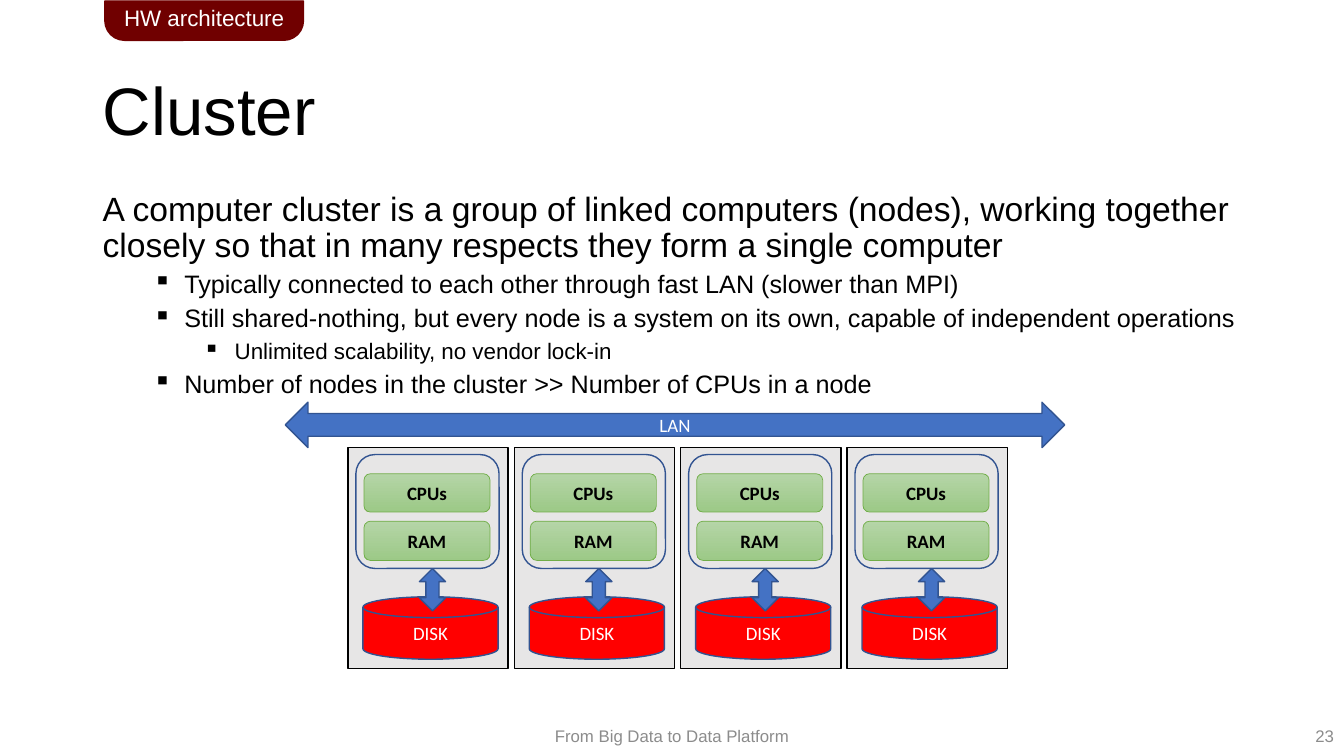
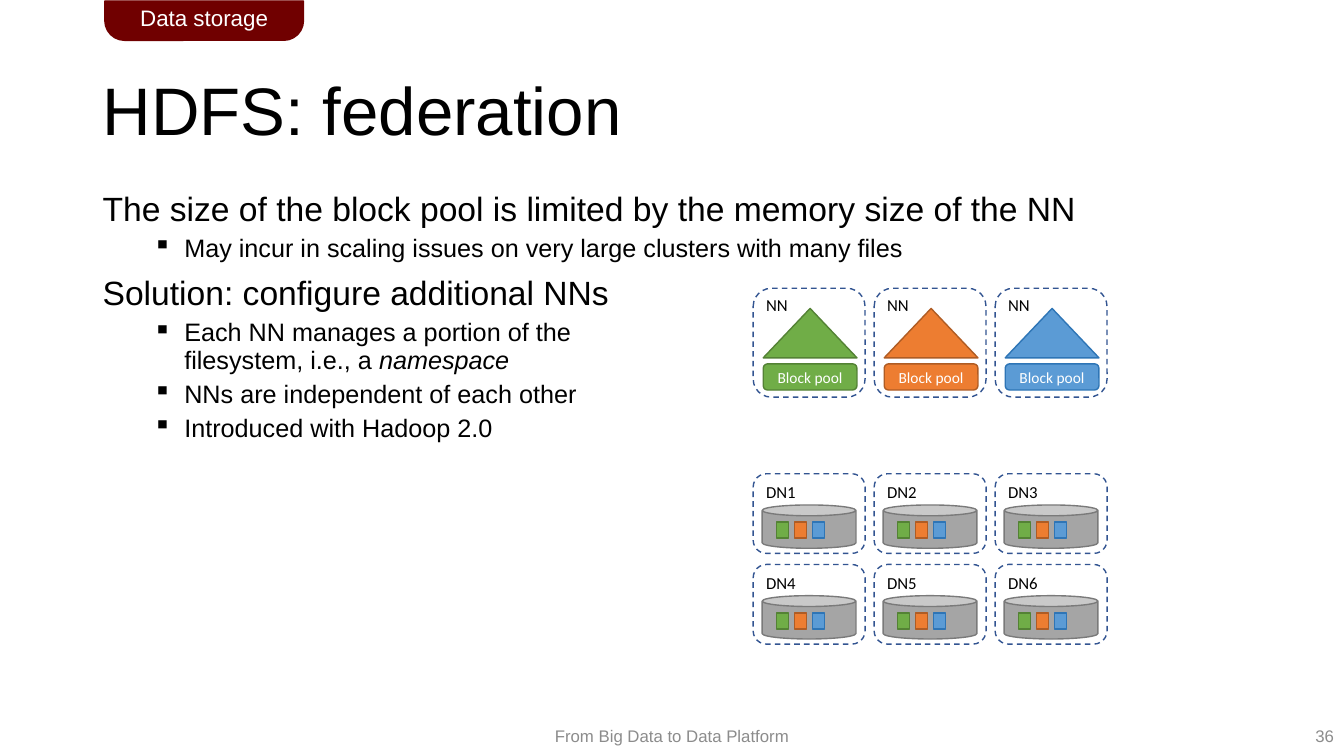
"""Build two slides on cluster hardware and HDFS federation."""
from dataclasses import dataclass
from typing import NamedTuple

from lxml import etree
from pptx import Presentation
from pptx.dml.color import RGBColor
from pptx.enum.dml import MSO_LINE
from pptx.enum.shapes import MSO_SHAPE
from pptx.enum.text import MSO_ANCHOR, PP_ALIGN
from pptx.oxml.ns import qn
from pptx.shapes.autoshape import Shape
from pptx.slide import Slide
from pptx.text.text import TextFrame
from pptx.util import Inches, Pt

RECT = MSO_SHAPE.RECTANGLE
ROUND = MSO_SHAPE.ROUNDED_RECTANGLE
TAB = MSO_SHAPE.ROUND_2_SAME_RECTANGLE
DISK = MSO_SHAPE.FLOWCHART_MAGNETIC_DISK
CAN = MSO_SHAPE.CAN
PEAK = MSO_SHAPE.ISOSCELES_TRIANGLE
TALL = MSO_SHAPE.UP_DOWN_ARROW
WIDE = MSO_SHAPE.LEFT_RIGHT_ARROW
DASH = MSO_LINE.DASH
LEFT, MID, RIGHT = PP_ALIGN.LEFT, PP_ALIGN.CENTER, PP_ALIGN.RIGHT
TOP, CENTER = MSO_ANCHOR.TOP, MSO_ANCHOR.MIDDLE


class Tone(NamedTuple):
    """Fill and line colours of a shape."""

    fill: str | None
    line: str


class Box(NamedTuple):
    """Place and size in inches."""

    x: float
    y: float
    w: float
    h: float


class Line(NamedTuple):
    """One paragraph of a slide body."""

    text: str
    level: int = 0
    tail: str = ""


@dataclass(frozen=True)
class Theme:
    """Colours, fonts and type sizes."""

    ink: str = "000000"
    white: str = "FFFFFF"
    gray: str = "8C8C8C"
    fade: tuple[str, str] = ("B5D5A7", "9CC987")
    tag: Tone = Tone("700000", "700000")
    node: Tone = Tone("E7E6E6", "000000")
    frame: Tone = Tone(None, "325491")
    arrow: Tone = Tone("4472C4", "325491")
    disk: Tone = Tone("FF0000", "325491")
    chip: Tone = Tone(None, "70AD47")
    store: Tone = Tone("A5A5A5", "7A7A7A")
    pools: tuple[Tone, ...] = (
        Tone("70AD47", "548235"),
        Tone("ED7D31", "AF5C24"),
        Tone("5B9BD5", "2E75B6"),
    )
    sans: str = "Arial"
    label: str = "Calibri"
    title: float = 48
    body: tuple[float, ...] = (24, 18, 16)
    tab: float = 16
    unit: float = 13.5
    foot: float = 12
    name: float = 12
    pool: float = 11


THEME = Theme()


def write(
    frame: TextFrame,
    text: str,
    *,
    size: float,
    color: str = THEME.ink,
    font: str = THEME.sans,
    bold: bool = False,
    align: PP_ALIGN = LEFT,
    level: int = 0,
    space: float = 0,
    pitch: float = 1,
    tail: str = "",
) -> None:
    """Add one paragraph of text, with an optional italic tail."""
    para = frame.paragraphs[0]
    if para.runs:
        para = frame.add_paragraph()
        para.space_before = Pt(space)
    para.text = text
    para.alignment = align
    para.line_spacing = pitch
    if level:
        para.level = level
        props = para._p.get_or_add_pPr()
        props.set("marL", str(Inches(0.31 + level * 0.5)))
        props.set("indent", str(-Inches(0.31)))
        etree.SubElement(props, qn("a:buChar")).set("char", "▪")
    if tail:
        last = para.add_run()
        last.text = tail
        last.font.italic = True
    for run in para.runs:
        run.font.name = font
        run.font.size = Pt(size)
        run.font.bold = bold
        run.font.color.rgb = RGBColor.from_string(color)


def area(slide: Slide, box: Box, anchor: MSO_ANCHOR = TOP, wrap: bool = True) -> TextFrame:
    """Add a text box and return its frame."""
    frame = slide.shapes.add_textbox(*map(Inches, box)).text_frame
    frame.word_wrap = wrap
    frame.vertical_anchor = anchor
    return frame


def draw(
    slide: Slide,
    kind: MSO_SHAPE,
    box: Box,
    tone: Tone,
    *,
    width: float = 1,
    dash: MSO_LINE | None = None,
) -> Shape:
    """Add a preset shape with flat colours."""
    shape = slide.shapes.add_shape(kind, *map(Inches, box))
    shape.shadow.inherit = False
    if tone.fill:
        shape.fill.solid()
        shape.fill.fore_color.rgb = RGBColor.from_string(tone.fill)
    else:
        shape.fill.background()
    shape.line.color.rgb = RGBColor.from_string(tone.line)
    shape.line.width = Pt(width)
    if dash is not None:
        shape.line.dash_style = dash
    return shape


def mark(
    shape: Shape,
    text: str,
    size: float,
    *,
    color: str = THEME.white,
    font: str = THEME.label,
    bold: bool = False,
) -> None:
    """Centre a label inside a shape."""
    frame = shape.text_frame
    frame.margin_left = frame.margin_right = 0
    frame.margin_top = frame.margin_bottom = 0
    frame.vertical_anchor = CENTER
    write(frame, text, size=size, color=color, font=font, bold=bold, align=MID)


def base(deck: Presentation, tag: str, title: str, page: str, lines: list[Line]) -> Slide:
    """Add a slide with its tag, title, body and footer."""
    slide = deck.slides.add_slide(deck.slide_layouts[6])
    foot = area(slide, Box(4.79, 7.1, 3.75, 0.4), CENTER)
    write(foot, "From Big Data to Data Platform", size=THEME.foot, color=THEME.gray, align=MID)
    count = area(slide, Box(10.33, 7.1, 3, 0.4), CENTER)
    write(count, page, size=THEME.foot, color=THEME.gray, align=RIGHT)
    head = area(slide, Box(0.92, 0.4, 11.5, 1.45), CENTER)
    write(head, title, size=THEME.title, pitch=0.9)
    body = area(slide, Box(0.92, 1.86, 11.5, 4.76))
    for line in lines:
        write(body, line.text, size=THEME.body[line.level], level=line.level,
              space=5 if line.level else 10, pitch=0.9, tail=line.tail)
    flag = draw(slide, TAB, Box(1.04, 0.01, 1.97, 0.39), THEME.tag)
    flag.adjustments[0] = 0
    flag.adjustments[1] = 0.5
    mark(flag, tag, THEME.tab, font=THEME.sans)
    return slide


def chip(slide: Slide, box: Box, text: str) -> None:
    """Draw a green gradient part of a node."""
    shape = draw(slide, ROUND, box, THEME.chip, width=0.5)
    shape.fill.gradient()
    shape.fill.gradient_angle = 270
    for stop, color in zip(shape.fill.gradient_stops, THEME.fade):
        stop.color.rgb = RGBColor.from_string(color)
    mark(shape, text, THEME.unit, color=THEME.ink, bold=True)


def node(slide: Slide, x: float) -> None:
    """Draw one cluster node."""
    draw(slide, RECT, Box(x, 4.44, 1.59, 2.19), THEME.node)
    chip(slide, Box(x + 0.16, 4.7, 1.25, 0.38), "CPUs")
    chip(slide, Box(x + 0.16, 5.17, 1.25, 0.39), "RAM")
    mark(draw(slide, DISK, Box(x + 0.15, 5.92, 1.34, 0.62), THEME.disk), "DISK", THEME.unit)
    draw(slide, TALL, Box(x + 0.71, 5.64, 0.26, 0.42), THEME.arrow)
    draw(slide, ROUND, Box(x + 0.08, 4.51, 1.42, 1.13), THEME.frame)


def cell(slide: Slide, box: Box, name: str, drop: float) -> None:
    """Draw a dashed frame with its name."""
    draw(slide, ROUND, box, THEME.frame, dash=DASH)
    frame = area(slide, Box(box.x + 0.03, box.y + drop, 0.5, 0.3), wrap=False)
    write(frame, name, size=THEME.name, font=THEME.label)


def master(slide: Slide, x: float, y: float, tone: Tone) -> None:
    """Draw one name node."""
    draw(slide, PEAK, Box(x + 0.1, y + 0.2, 0.93, 0.49), tone)
    mark(draw(slide, ROUND, Box(x + 0.1, y + 0.75, 0.93, 0.26), tone), "Block pool", THEME.pool)
    cell(slide, Box(x, y, 1.11, 1.08), "NN", 0.01)


def worker(slide: Slide, x: float, y: float, name: str) -> None:
    """Draw one data node with a block of each pool."""
    draw(slide, CAN, Box(x + 0.09, y + 0.31, 0.93, 0.43), THEME.store)
    cell(slide, Box(x, y, 1.11, 0.79), name, 0.03)
    for i, tone in enumerate(THEME.pools):
        draw(slide, RECT, Box(x + 0.23 + i * 0.18, y + 0.48, 0.12, 0.16), tone)


def cluster(deck: Presentation) -> None:
    """Build the cluster slide."""
    slide = base(deck, "HW architecture", "Cluster", "23", [
        Line("A computer cluster is a group of linked computers (nodes), working together "
             "closely so that in many respects they form a single computer"),
        Line("Typically connected to each other through fast LAN (slower than MPI)", 1),
        Line("Still shared-nothing, but every node is a system on its own, "
             "capable of independent operations", 1),
        Line("Unlimited scalability, no vendor lock-in", 2),
        Line("Number of nodes in the cluster >> Number of CPUs in a node", 1),
    ])
    for i in range(4):
        node(slide, 3.45 + i * 1.65)
    mark(draw(slide, WIDE, Box(2.83, 3.99, 7.73, 0.45), THEME.arrow), "LAN", THEME.unit)


def pools(deck: Presentation) -> None:
    """Build the federation slide."""
    slide = base(deck, "Data storage", "HDFS: federation", "36", [
        Line("The size of the block pool is limited by the memory size of the NN"),
        Line("May incur in scaling issues on very large clusters with many files", 1),
        Line("Solution: configure additional NNs"),
        Line("Each NN manages a portion of the \vfilesystem, i.e., a ", 1, "namespace"),
        Line("NNs are independent of each other", 1),
        Line("Introduced with Hadoop 2.0", 1),
    ])
    left, step = 7.47, 1.2
    for i, tone in enumerate(THEME.pools):
        master(slide, left + i * step, 2.86, tone)
    for i in range(6):
        row, col = divmod(i, 3)
        worker(slide, left + col * step, 4.7 + row * 0.9, f"DN{i + 1}")


def main() -> None:
    """Build and save the deck."""
    deck = Presentation()
    deck.slide_width, deck.slide_height = Inches(13.33), Inches(7.5)
    cluster(deck)
    pools(deck)
    deck.save("out.pptx")


if __name__ == "__main__":
    main()
